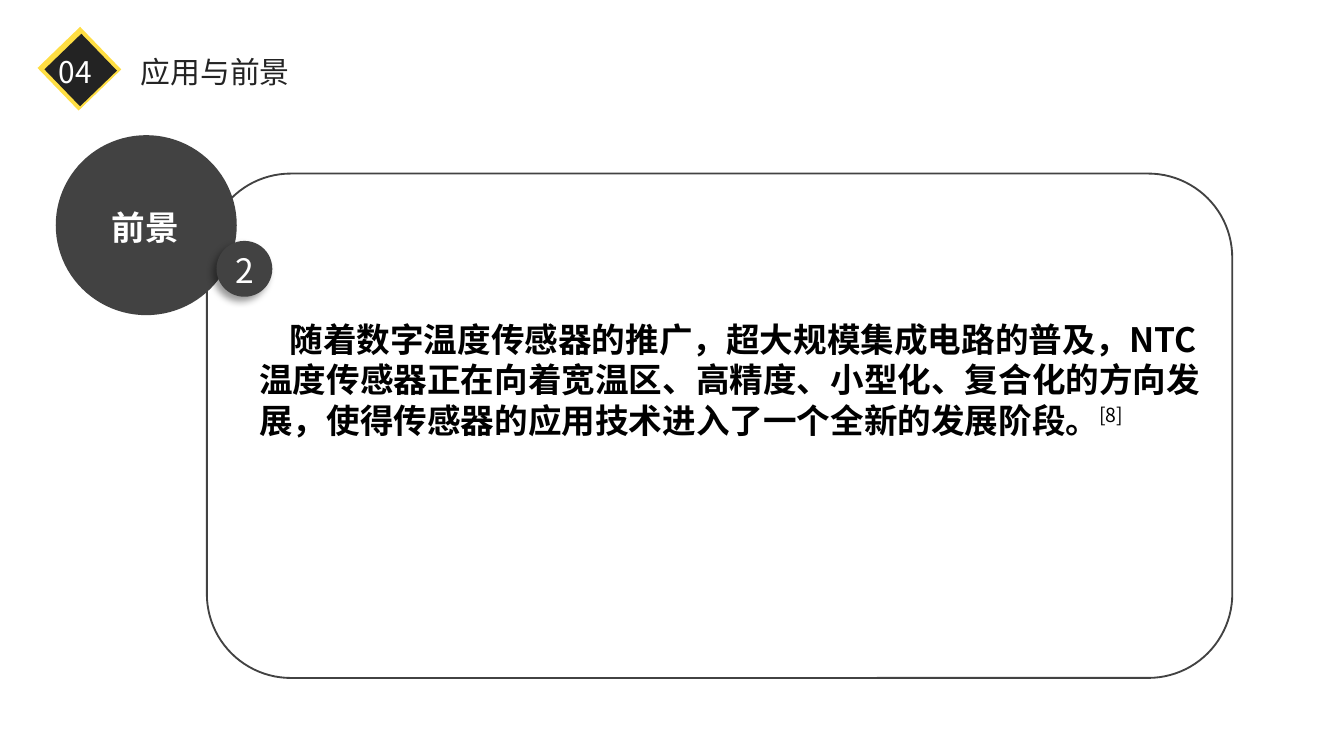
import pptx
import pptx.dml.color
import pptx.enum.shapes
import pptx.enum.text
import pptx.oxml
import pptx.oxml.ns
import pptx.util
from lxml import etree

Cm = pptx.util.Cm
Pt = pptx.util.Pt
Shape = pptx.enum.shapes.MSO_SHAPE
Align = pptx.enum.text.PP_ALIGN
Anchor = pptx.enum.text.MSO_ANCHOR
qn = pptx.oxml.ns.qn

DARK, INK, YELLOW, WHITE, BLACK = "424242", "232323", "FFDE43", "FFFFFF", "000000"
BOX_INSETS = (0.25, 0.13)
CIRCLE_INSETS = (0.18, 0.1)


def rgb(value):
    return pptx.dml.color.RGBColor.from_string(value)


class SlideBuilder:
    font_name = "Noto Sans CJK SC"

    def __init__(self, slide):
        self.slide = slide

    def shape(self, kind, left, top, width, height, fill=None, line=None, weight=1, rotation=0):
        item = self.slide.shapes.add_shape(kind, Cm(left), Cm(top), Cm(width), Cm(height))
        item.shadow.inherit = False
        item.rotation = rotation
        if fill:
            item.fill.solid()
            item.fill.fore_color.rgb = rgb(fill)
        else:
            item.fill.background()
        if line:
            item.line.color.rgb = rgb(line)
            item.line.width = Pt(weight)
        else:
            item.line.fill.background()
        return item

    def drop_shadow(self, item):
        effects = item._element.spPr.find(qn("a:effectLst"))
        shadow = etree.SubElement(effects, qn("a:outerShdw"), blurRad=str(Pt(4)),
                                  dist=str(Pt(3)), dir="8100000", algn="tr", rotWithShape="0")
        color = etree.SubElement(shadow, qn("a:srgbClr"), val=BLACK)
        etree.SubElement(color, qn("a:alpha"), val="40000")

    def text_box(self, left, top, width, height):
        return self.slide.shapes.add_textbox(Cm(left), Cm(top), Cm(width), Cm(height))

    def placeholder(self, index, left, top, width, height):
        item = self.slide.placeholders[index]
        item.left, item.top, item.width, item.height = map(Cm, (left, top, width, height))
        return item

    def set_text(self, item, runs, size, color, insets=BOX_INSETS, wrap=False, anchor=Anchor.TOP,
                 align=Align.LEFT, spacing=1.25, indent=0):
        """Fill item with one paragraph; each run is (text, bold, superscript)."""
        frame = item.text_frame
        frame.auto_size = pptx.enum.text.MSO_AUTO_SIZE.NONE
        frame.word_wrap = wrap
        frame.vertical_anchor = anchor
        frame.margin_left = frame.margin_right = Cm(insets[0])
        frame.margin_top = frame.margin_bottom = Cm(insets[1])
        paragraph = frame.paragraphs[0]
        paragraph.alignment = align
        paragraph.line_spacing = Pt(size * spacing)
        paragraph.space_before = Pt(0)
        properties = paragraph._p.get_or_add_pPr()
        properties.set("marL", "0")
        properties.set("indent", str(Cm(indent)))
        etree.SubElement(properties, qn("a:buNone"))
        for text, bold, superscript in runs:
            run = paragraph.add_run()
            run.text = text
            run.font.size = Pt(size)
            run.font.bold = bold
            run.font.color.rgb = rgb(color)
            run.font.name = self.font_name
            run_properties = run._r.get_or_add_rPr()
            etree.SubElement(run_properties, qn("a:ea"), typeface=self.font_name)
            if superscript:
                run_properties.set("baseline", "30000")


def main():
    deck = pptx.Presentation()
    deck.slide_width, deck.slide_height = Cm(25.4), Cm(14)
    builder = SlideBuilder(deck.slides.add_slide(deck.slide_layouts[1]))

    builder.shape(Shape.ROUNDED_RECTANGLE, 3.91, 3.28, 19.38, 9.53, line=DARK)
    ring = builder.shape(Shape.DONUT, 1.09, 2.59, 3.35, 3.33, DARK, DARK, 2)
    ring.adjustments[0] = 0.05
    builder.shape(Shape.OVAL, 1.17, 2.67, 3.23, 3.18, DARK)
    number = builder.shape(Shape.OVAL, 4.11, 4.57, 1.02, 1.02, DARK, DARK)
    builder.drop_shadow(number)
    builder.set_text(number, [("2", False, False)], 18, WHITE, CIRCLE_INSETS,
                     anchor=Anchor.MIDDLE, align=Align.CENTER)
    topic = builder.text_box(1.93, 3.78, 1.65, 0.97)
    builder.set_text(topic, [("前景", True, False)], 18, WHITE, CIRCLE_INSETS)

    for left, top, side, fill in ((0.94, 0.74, 1.12, YELLOW), (1.04, 0.84, 0.97, INK)):
        builder.shape(Shape.RECTANGLE, left, top, side, side, fill, rotation=46)
    section = builder.text_box(0.86, 0.86, 1.17, 0.94)
    builder.set_text(section, [("04", False, False)], 16, WHITE)
    heading = builder.placeholder(0, 2.41, 0.86, 3.35, 0.94)
    builder.set_text(heading, [("应用与前景", False, False)], 16, INK)

    outlook = builder.placeholder(1, 4.9, 6.04, 18.21, 2.74)
    builder.set_text(outlook, [
        ("随着数字温度传感器的推广，超大规模集成电路的普及，NTC 温度传感器正在向着宽温区、高精度、"
         "小型化、复合化的方向发展，使得传感器的应用技术进入了一个全新的发展阶段。", True, False),
        ("[8]", False, True),
    ], 18, BLACK, insets=(0, 0), wrap=True, spacing=1.19, indent=0.57)

    deck.save("out.pptx")


if __name__ == "__main__":
    main()
